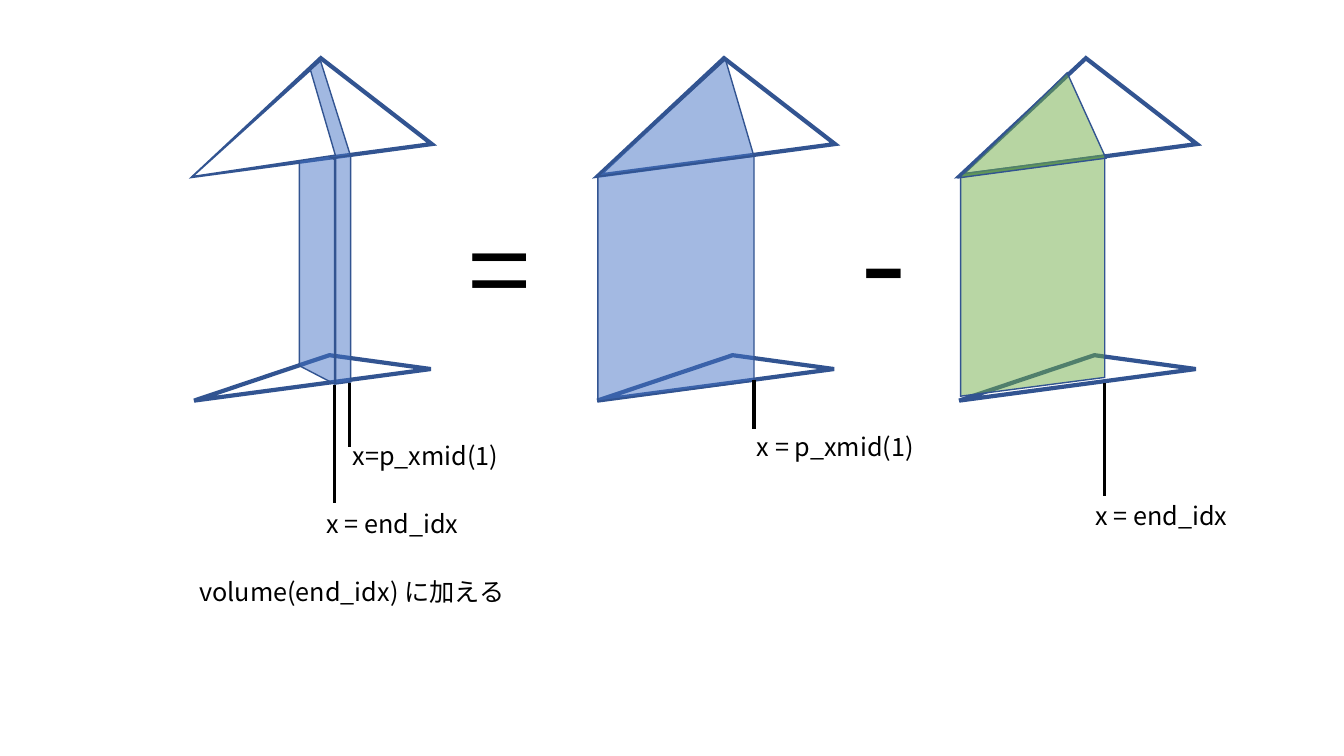
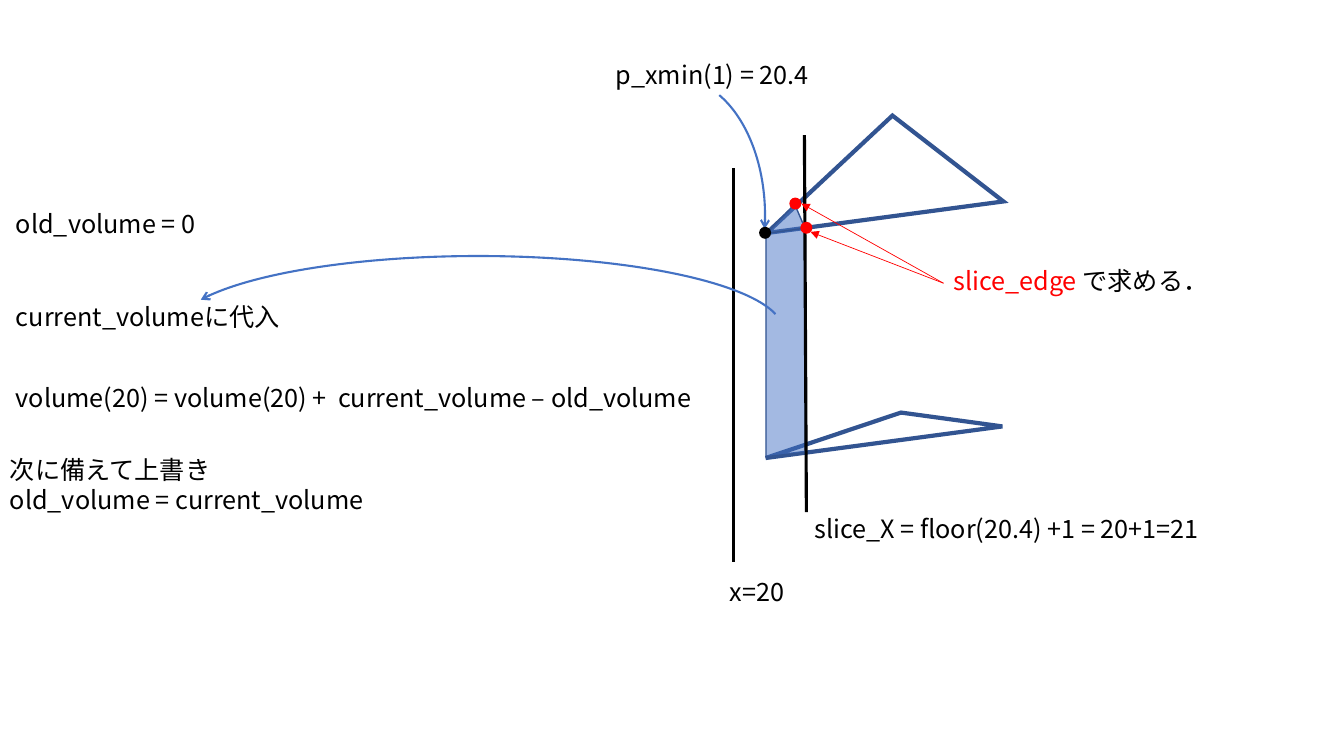
from lxml.etree import SubElement
from pptx import Presentation
from pptx.dml.color import RGBColor
from pptx.enum.shapes import MSO_CONNECTOR, MSO_SHAPE
from pptx.enum.text import MSO_AUTO_SIZE as AutoSize
from pptx.oxml.ns import qn
from pptx.util import Pt

FONT = "Noto Sans CJK JP"
BLACK, WHITE, RED = "000000", "FFFFFF", "FF0000"
BLUE, NAVY, GREEN = "4472C4", "325491", "70AD47"
TILT = 352.4
FRAME_FORMAT = {"word_wrap": True, "auto_size": AutoSize.SHAPE_TO_FIT_TEXT}


def rgb(color):
    return RGBColor.from_string(color)


def set_format(target, values):
    for name, value in values.items():
        setattr(target, name, value)


def add_figure(page, kind, area, adjust=(), fill=None, alpha=100, line=None,
               width=1, rotation=0, flip=None):
    """Draw a preset shape; alpha is the opacity of its fill in percent."""
    shape = page.shapes.add_shape(kind, *map(Pt, area))
    shape.shadow.inherit = False
    shape.rotation = rotation
    for index, value in enumerate(adjust):
        shape.adjustments[index] = value
    if flip:
        shape._element.spPr.find(qn("a:xfrm")).set(flip, "1")
    if fill:
        shape.fill.solid()
        shape.fill.fore_color.rgb = rgb(fill)
        if alpha < 100:
            color = shape._element.spPr.find(".//" + qn("a:srgbClr"))
            SubElement(color, qn("a:alpha"), val=str(alpha * 1000))
    else:
        shape.fill.background()
    if line:
        set_format(shape.line, {"width": Pt(width)})
        shape.line.color.rgb = rgb(line)
        SubElement(shape.line._get_or_add_ln(), qn("a:miter"), lim="800000")
    else:
        shape.line.fill.background()
    return shape


def add_triangle(page, area, apex, rotation=TILT, **style):
    add_figure(page, MSO_SHAPE.ISOSCELES_TRIANGLE, area, [apex],
               line=NAVY, rotation=rotation, **style)


def add_wall(page, area, slant, color=BLUE, rotation=90, flip="flipV"):
    add_figure(page, MSO_SHAPE.PARALLELOGRAM, area, [slant], color, 49,
               NAVY, rotation=rotation, flip=flip)


def add_prism(page, left, top):
    """Draw the outlined upper and lower triangles."""
    add_triangle(page, (left, top, 170.6, 71.3), 0.587, width=3)
    add_triangle(page, (left + 2.7, top + 212.4, 170.6, 19.4), 0.587, width=3)


def add_slice(page, wall, slant, cap, apex, color=BLUE):
    """Draw the translucent cut of a prism: its wall and its top."""
    add_wall(page, wall, slant, color)
    add_triangle(page, cap, apex, fill=color, alpha=50)


def add_arrowhead(shape, end, kind):
    SubElement(shape.line._get_or_add_ln(), qn("a:" + end), type=kind)


def add_arc(page, area, angles, arrow_end):
    arc = add_figure(page, MSO_SHAPE.ARC, area, angles, line=BLUE, width=1.5,
                     flip="flipH")
    add_arrowhead(arc, arrow_end, "arrow")


def add_line(page, start, end, color=BLACK, width=2.25):
    line = page.shapes.add_connector(MSO_CONNECTOR.STRAIGHT,
                                     *map(Pt, (*start, *end)))
    line.line.width = Pt(width)
    line.line.color.rgb = rgb(color)
    SubElement(line._element.spPr, qn("a:effectLst"))
    return line


def add_text(page, area, *lines, size=18):
    """Write lines, each one a string or a list of (text, colour) spans."""
    box = page.shapes.add_textbox(*map(Pt, area))
    frame = box.text_frame
    set_format(frame, FRAME_FORMAT)
    for index, spans in enumerate(lines):
        para = frame.add_paragraph() if index else frame.paragraphs[0]
        if isinstance(spans, str):
            spans = [(spans, BLACK)]
        for text, color in spans:
            span = para.add_run()
            span.text = text
            set_format(span.font, {"name": FONT, "size": Pt(size)})
            span.font.color.rgb = rgb(color)
            SubElement(span.font._element, qn("a:ea"), typeface=FONT)
    return box


def add_dot(page, left, top, color):
    add_figure(page, MSO_SHAPE.OVAL, (left, top, 8.6, 8.6), fill=color)


def build_difference(page):
    """Show a slab as the difference of two cut prisms."""
    add_prism(page, 680.4, 43.2)
    add_slice(page, (651.6, 145.4, 172.1, 103), 0.13,
              (680.4, 56.2, 105.8, 64.1), 0.817, GREEN)
    add_prism(page, 421.9, 43.2)
    add_slice(page, (395.3, 143.3, 175, 111.6), 0.13,
              (421.9, 48.2, 112.3, 70.6), 0.903)
    add_prism(page, 133.9, 43.2)
    add_slice(page, (163.4, 187.2, 163.4, 10.8), 0.13,
              (133.2, 49, 113, 69.8), 0.892)
    add_wall(page, (139.7, 175, 173.5, 25.2), 0.52, rotation=270, flip=None)
    add_triangle(page, (132.5, 56.2, 103, 62.6), 0.917, 351.5, fill=WHITE)

    add_text(page, (327.6, 139.7, 79.2, 104.4), "=", size=80)
    add_text(page, (607.7, 123.1, 88.6, 123.8), "-", size=96)
    for x, top, bottom in ((249.8, 273.6, 319), (239, 275, 359.3),
                           (789.1, 273.6, 354.2), (538.6, 271.4, 306.7)):
        add_line(page, (x, top), (x, bottom))
    for left, top, width, text in (
            (533.5, 304.6, 131, "x = p_xmid(1)"),
            (226.1, 359.3, 141.8, "x = end_idx"),
            (775.4, 354.2, 139, "x = end_idx"),
            (135.4, 408.2, 239.8, "volume(end_idx) に加える"),
            (244.8, 311, 131, "x=p_xmid(1)")):
        add_text(page, (left, top, width, 28.8), text)


def build_first_slice(page):
    """Show how the first slice is cut and added to the volume."""
    add_prism(page, 542.2, 84.2)
    add_slice(page, (479.5, 230.4, 163.4, 28.1), 0.103,
              (546.5, 146.9, 27.4, 18), 0.817)
    add_line(page, (574.6, 96.5), (576, 365.8))
    add_line(page, (524.2, 120.2), (524.2, 401.8))
    for left, top, width, text in (
            (514.1, 408.2, 385.9, "x=20"),
            (432.7, 38.9, 162.7, "p_xmin(1) = 20.4"),
            (574.6, 362.9, 409.7, "slice_X = floor(20.4) +1 = 20+1=21"),
            (4.3, 145.4, 144.7, "old_volume = 0"),
            (4.3, 211.7, 220.3, "current_volumeに代入"),
            (4.3, 269.3, 519.8, "volume(20) = volume(20) +  "
                                "current_volume – old_volume")):
        add_text(page, (left, top, width, 28.8), text)
    add_text(page, (0, 321.1, 385.9, 51.1),
             "次に備えて上書き", "old_volume = current_volume")

    add_arc(page, (123.8, 182.9, 435.6, 106.6), (109.92, 212.18), "tailEnd")
    add_arc(page, (421.9, 56.2, 124.6, 195.8), (102.81, 150.63), "headEnd")
    add_dot(page, 571.7, 158.4, RED)
    add_dot(page, 563.8, 141.1, RED)
    slice_label = add_text(page, (673.9, 185.8, 198, 33),
                           [("slice_edge ", RED), ("で求める．", BLACK)])
    for target in ((572.4, 145.4), (578.9, 165.6)):
        pointer = add_line(page, (673.9, 202.3), target, RED, 0.5)
        pointer.begin_connect(slice_label, 1)
        add_arrowhead(pointer, "tailEnd", "triangle")
    add_dot(page, 542.2, 162, BLACK)


def main():
    deck = Presentation()
    set_format(deck, {"slide_width": Pt(960), "slide_height": Pt(540)})
    blank = deck.slide_layouts[6]
    for build in (build_difference, build_first_slice):
        build(deck.slides.add_slide(blank))
    deck.save("out.pptx")


if __name__ == "__main__":
    main()
